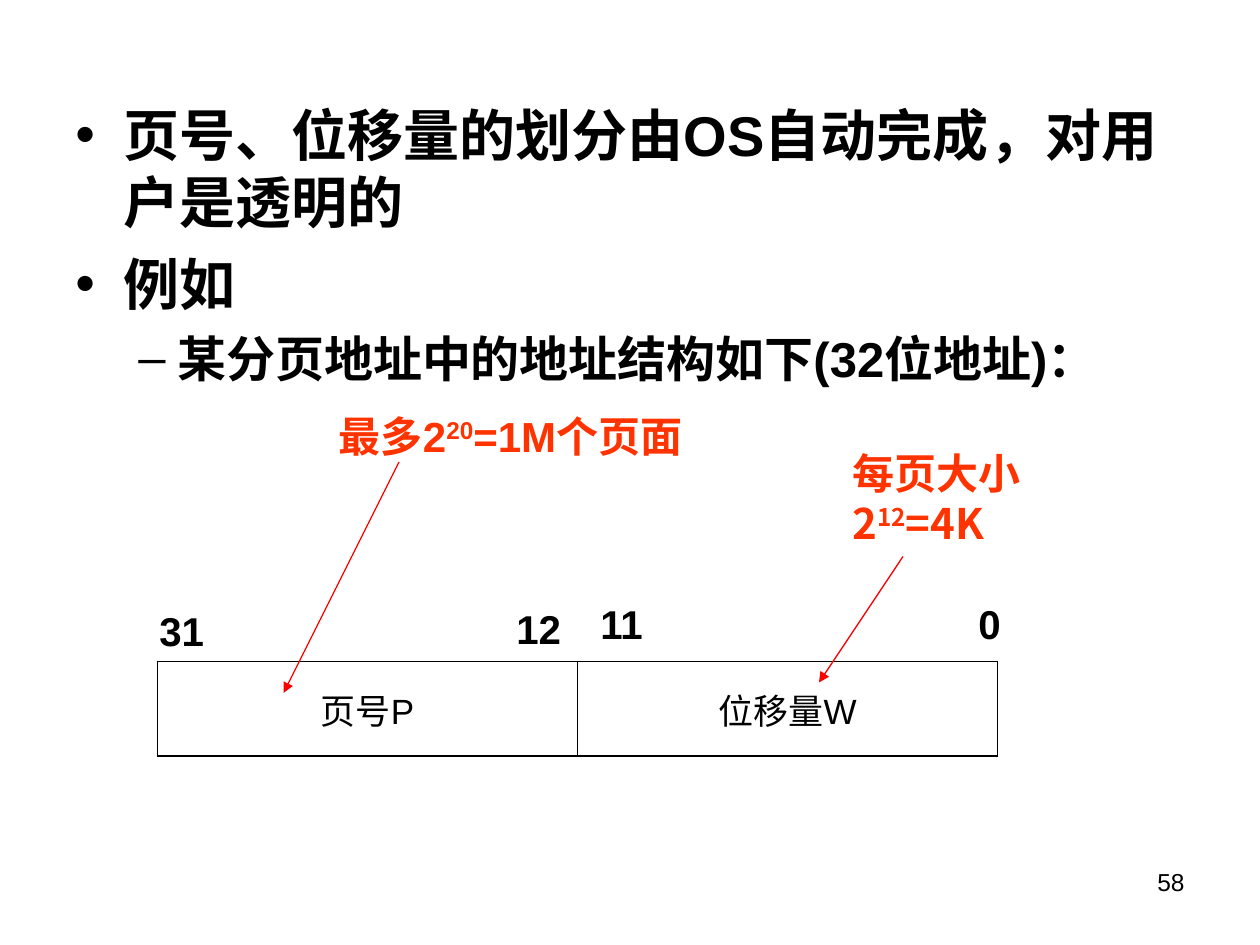
from dataclasses import dataclass

from pptx import Presentation
from pptx.dml.color import RGBColor
from pptx.enum.shapes import MSO_CONNECTOR as Connector
from pptx.enum.text import MSO_ANCHOR as Anchor, MSO_AUTO_SIZE as AutoSize, PP_ALIGN as Align
from pptx.oxml.ns import qn
from pptx.util import Inches, Pt
from lxml.etree import SubElement


@dataclass(frozen=True)
class Theme:
    black: str = "000000"
    arrow: str = "FF0000"
    accent: str = "FF3300"
    latin: str = "Arial"
    cjk: str = "Noto Sans CJK SC"
    heading: int = 32
    detail: int = 28
    callout: int = 24
    bit: int = 23
    cell: int = 20
    number: int = 14
    arrow_width: float = 0.75
    outer_border: float = 1.08
    inner_border: float = 0.45


class AddressSlide:
    """Draws on one slide, with lengths in twelfths of an inch."""

    def __init__(self, slide, theme):
        self.slide = slide
        self.theme = theme

    def grid(self, *units):
        return [Inches(unit / 12) for unit in units]

    def style(self, paragraph, size, color=None, bold=False, font=None):
        paragraph.font.size = Pt(size)
        paragraph.font.name = font or self.theme.latin
        paragraph.font.bold = bold
        paragraph.font.color.rgb = RGBColor.from_string(color or self.theme.black)

    def text(self, box, parts, size, color=None, bold=True, font=None,
             wrap=False, align=Align.LEFT, grow=True):
        frame = self.slide.shapes.add_textbox(*self.grid(*box)).text_frame
        frame.word_wrap = wrap
        frame.auto_size = AutoSize.SHAPE_TO_FIT_TEXT if grow else AutoSize.NONE
        paragraph = frame.paragraphs[0]
        paragraph.alignment = align
        self.style(paragraph, size, color, bold, font)
        for index, part in enumerate(parts):
            run = paragraph.add_run()
            run.text = part
            if index % 2:
                run._r.get_or_add_rPr().set("baseline", "30000")

    def bullets(self, box, items):
        frame = self.slide.shapes.add_textbox(*self.grid(*box)).text_frame
        frame.word_wrap = True
        levels = [("•", 0.38, 0.38, 8, self.theme.heading),
                  ("–", 0.81, 0.31, 7, self.theme.detail)]
        for index, (level, words) in enumerate(items):
            paragraph = frame.add_paragraph() if index else frame.paragraphs[0]
            mark, margin, hanging, space, size = levels[level]
            paragraph.text = words
            paragraph.level = level
            paragraph.space_before = Pt(space)
            properties = paragraph._p.get_or_add_pPr()
            properties.set("marL", str(Inches(margin)))
            properties.set("indent", str(-Inches(hanging)))
            color = SubElement(properties, qn("a:buClr"))
            SubElement(color, qn("a:srgbClr"), val=self.theme.black)
            SubElement(properties, qn("a:buFont"), typeface=self.theme.latin)
            SubElement(properties, qn("a:buChar"), char=mark)
            self.style(paragraph, size, bold=True)

    def borders(self, cell, widths):
        properties = cell._tc.get_or_add_tcPr()
        for side, width in zip("LRTB", widths):
            line = SubElement(properties, qn(f"a:ln{side}"), w=str(Pt(width)))
            fill = SubElement(line, qn("a:solidFill"))
            SubElement(fill, qn("a:srgbClr"), val=self.theme.black)

    def table(self, box, labels):
        table = self.slide.shapes.add_table(1, len(labels), *self.grid(*box)).table
        table.first_row = table.horz_banding = False
        outer, inner = self.theme.outer_border, self.theme.inner_border
        for index, label in enumerate(labels):
            cell = table.cell(0, index)
            cell.text = label
            cell.vertical_anchor = Anchor.MIDDLE
            paragraph = cell.text_frame.paragraphs[0]
            paragraph.alignment = Align.CENTER
            paragraph.space_before = Pt(5)
            self.style(paragraph, self.theme.cell)
            left = inner if index else outer
            right = inner if index < len(labels) - 1 else outer
            self.borders(cell, (left, right, outer, outer))
            cell.fill.background()

    def arrow(self, start, end):
        connector = self.slide.shapes.add_connector(
            Connector.STRAIGHT, *self.grid(*start, *end))
        connector.line.color.rgb = RGBColor.from_string(self.theme.arrow)
        connector.line.width = Pt(self.theme.arrow_width)
        SubElement(connector.line._get_or_add_ln(), qn("a:tailEnd"), type="triangle")
        SubElement(connector._element.spPr, qn("a:effectLst"))


def main():
    presentation = Presentation()
    presentation.slide_width, presentation.slide_height = Inches(10), Inches(7.5)
    theme = Theme()
    page = AddressSlide(presentation.slides.add_slide(presentation.slide_layouts[6]), theme)

    page.text((86, 82, 28, 6.2), ["58"], theme.number, bold=False,
              wrap=True, align=Align.RIGHT, grow=False)
    page.bullets((6, 9, 108, 71.4), [
        (0, "页号、位移量的划分由OS自动完成，对用户是透明的"),
        (0, "例如"),
        (1, "某分页地址中的地址结构如下(32位地址)："),
    ])
    page.table((15, 63, 80, 9), ["页号P", "位移量W"])
    page.arrow((86, 53), (78, 65))
    page.text((80, 42, 29.2, 10.8), ["每页大小2", "12", "=4K"], theme.callout,
              theme.accent, font=theme.cjk, wrap=True)
    page.arrow((38, 44), (27, 66))
    page.text((31.1, 38.5, 37, 6), ["最多2", "20", "=1M个页面"], theme.callout, theme.accent)
    for bit, left, top, width in [("0", 92, 56.5, 4.8), ("11", 56, 56.5, 7),
                                  ("12", 48, 56.95, 7), ("31", 14, 57.15, 7)]:
        page.text((left, top, width, 5.9), [bit], theme.bit)
    presentation.save("out.pptx")


if __name__ == "__main__":
    main()
